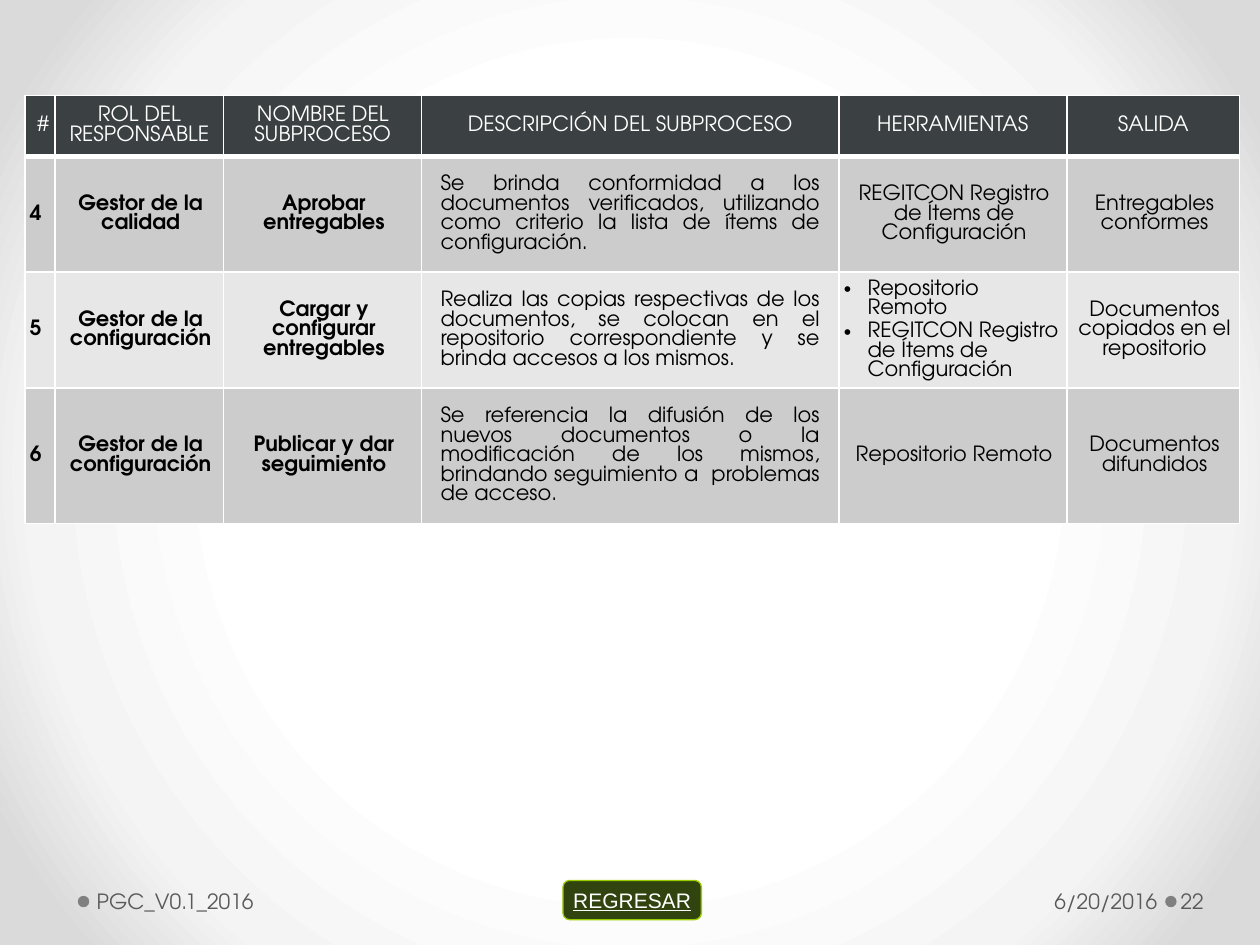
from lxml import etree
from pptx import Presentation
from pptx.dml.color import RGBColor
from pptx.enum.shapes import MSO_SHAPE
from pptx.enum.text import MSO_ANCHOR, PP_ALIGN
from pptx.oxml import parse_xml
from pptx.oxml.ns import qn
from pptx.util import Cm, Pt

LEFT, CENTER, RIGHT, JUSTIFY = PP_ALIGN.LEFT, PP_ALIGN.CENTER, PP_ALIGN.RIGHT, PP_ALIGN.JUSTIFY
MIDDLE = MSO_ANCHOR.MIDDLE
OVAL, BUTTON = MSO_SHAPE.OVAL, MSO_SHAPE.FLOWCHART_ALTERNATE_PROCESS
FONT = "TeX Gyre Adventor"
WHITE, BLACK, GRAY = "FFFFFF", "000000", "595959"
HEADER_FILL, ROW_FILLS = "3B4042", ("CCCCCC", "E7E7E7")
A_NS = "http://schemas.openxmlformats.org/drawingml/2006/main"

COLUMN_WIDTHS = (0.61, 3.4, 3.99, 8.41, 4.6, 3.48)
HEADER_HEIGHT, ROW_HEIGHT = 1.22, 1.7
BODY_ALIGNS = (LEFT, CENTER, CENTER, JUSTIFY, CENTER, CENTER)
BOLD_COLUMNS, DESCRIPTION_COLUMN = 3, 3
BODY_MARGINS = (0.1, 0.13, 0.05, 0.13)
DESCRIPTION_MARGINS = (0.38,) * 4

HEADERS = ("#", "ROL DEL RESPONSABLE", "NOMBRE DEL SUBPROCESO",
           "DESCRIPCIÓN DEL SUBPROCESO", "HERRAMIENTAS", "SALIDA")
# A list in a cell becomes a bulleted list
SUBPROCESSES = (
    ("4", "Gestor de la calidad", "Aprobar entregables",
     "Se brinda conformidad a los documentos verificados, utilizando como criterio "
     "la lista de ítems de configuración.",
     "REGITCON Registro de Ítems de Configuración", "Entregables conformes"),
    ("5", "Gestor de la configuración", "Cargar y configurar entregables",
     "Realiza las copias respectivas de los documentos, se colocan en el repositorio "
     "correspondiente y se brinda accesos a los mismos.",
     ["Repositorio Remoto", "REGITCON Registro de Ítems de Configuración"],
     "Documentos copiados en el repositorio"),
    ("6", "Gestor de la configuración", "Publicar y dar seguimiento",
     "Se referencia la difusión de los nuevos documentos o la modificación de los "
     "mismos, brindando seguimiento a  problemas de acceso.",
     "Repositorio Remoto", "Documentos difundidos"),
)


def rgb(color):
    return RGBColor.from_string(color)


def add_text(paragraph, text, color, align=LEFT, bold=False, font=FONT, underline=False):
    paragraph.alignment = align
    run = paragraph.add_run()
    run.text = text
    run.font.name, run.font.size = font, Pt(12)
    run.font.bold, run.font.underline = bold, underline
    run.font.color.rgb = rgb(color)


def set_margins(target, margins):
    (target.margin_left, target.margin_top,
     target.margin_right, target.margin_bottom) = map(Cm, margins)


def add_bullet(paragraph):
    properties = paragraph._p.get_or_add_pPr()
    properties.set("marL", str(Cm(0.48)))
    properties.set("indent", str(-Cm(0.48)))
    etree.SubElement(properties, qn("a:buFont"), typeface="Arial")
    etree.SubElement(properties, qn("a:buChar"), char="•")


def set_borders(cell, bottom_width):
    properties = cell._tc.get_or_add_tcPr()
    for side, width in (("L", 1), ("R", 1), ("T", 1), ("B", bottom_width)):
        border = etree.SubElement(properties, qn(f"a:ln{side}"), w=str(Pt(width)))
        fill = etree.SubElement(border, qn("a:solidFill"))
        etree.SubElement(fill, qn("a:srgbClr"), val=WHITE)


def style_cell(cell, fill, bottom_width=1):
    set_borders(cell, bottom_width)
    cell.fill.solid()
    cell.fill.fore_color.rgb = rgb(fill)
    cell.vertical_anchor = MIDDLE


def paint_background(slide):
    stops = "".join(f'<a:gs pos="{position}000"><a:srgbClr val="{color}"/></a:gs>'
                    for position, color in ((50, WHITE), (76, "F4F4F4"), (92, "DADADA")))
    gradient = parse_xml(
        f'<a:gradFill xmlns:a="{A_NS}" rotWithShape="1"><a:gsLst>{stops}</a:gsLst>'
        '<a:path path="circle"><a:fillToRect l="50000" t="50000" r="50000" b="50000"/>'
        '</a:path></a:gradFill>')
    fill = slide.background.fill
    fill.solid()
    solid = slide._element.find(".//" + qn("p:bgPr")).find(qn("a:solidFill"))
    solid.getparent().replace(solid, gradient)


def add_subprocess_table(slide, left, top):
    height = HEADER_HEIGHT + ROW_HEIGHT * len(SUBPROCESSES)
    table = slide.shapes.add_table(
        len(SUBPROCESSES) + 1, len(HEADERS), Cm(left), Cm(top),
        Cm(sum(COLUMN_WIDTHS)), Cm(height)).table
    for column, width in zip(table.columns, COLUMN_WIDTHS):
        column.width = Cm(width)
    for index, row in enumerate(table.rows):
        row.height = Cm(ROW_HEIGHT if index else HEADER_HEIGHT)

    # Header row
    for column, title in enumerate(HEADERS):
        cell = table.cell(0, column)
        style_cell(cell, HEADER_FILL, bottom_width=3)
        add_text(cell.text_frame.paragraphs[0], title, WHITE, CENTER)

    # One row for each subprocess
    for index, subprocess in enumerate(SUBPROCESSES):
        for column, content in enumerate(subprocess):
            cell = table.cell(index + 1, column)
            style_cell(cell, ROW_FILLS[index % 2])
            set_margins(cell, DESCRIPTION_MARGINS if column == DESCRIPTION_COLUMN
                        else BODY_MARGINS)
            bulleted = isinstance(content, list)
            for number, text in enumerate(content if bulleted else [content]):
                frame = cell.text_frame
                paragraph = frame.add_paragraph() if number else frame.paragraphs[0]
                paragraph.space_before = Pt(2)
                add_text(paragraph, text, BLACK, LEFT if bulleted else BODY_ALIGNS[column],
                         bold=column < BOLD_COLUMNS)
                if bulleted:
                    add_bullet(paragraph)


def add_footer_text(slide, text, left, top, width, margins, align=LEFT):
    frame = slide.shapes.add_textbox(Cm(left), Cm(top), Cm(width), Cm(1.02)).text_frame
    frame.word_wrap = True
    frame.vertical_anchor = MIDDLE
    set_margins(frame, margins)
    add_text(frame.paragraphs[0], text, GRAY, align)


def add_footer(slide, left, top):
    # Dots before the document name and the page number
    for offset in (0, 21.92):
        dot = slide.shapes.add_shape(OVAL, Cm(left + offset), Cm(top + 0.41),
                                     Cm(0.23), Cm(0.23))
        dot.shadow.inherit = False
        dot.fill.solid()
        dot.fill.fore_color.rgb = rgb("808080")
        dot.line.fill.background()

    # Document name, date and page number
    add_footer_text(slide, "PGC_V0.1_2016", left + 0.25, top, 10.06, (0.13, 0.13, 0.25, 0.13))
    add_footer_text(slide, "6/20/2016", left + 16.1, top, 5.79, (0.25, 0.13, 0.13, 0.13), RIGHT)
    add_footer_text(slide, "22", left + 22.15, top, 1.55, (0.08, 0.13, 0.13, 0.13))

    # Return button
    button = slide.shapes.add_shape(BUTTON, Cm(left + 9.78), Cm(top + 0.1), Cm(2.79), Cm(0.79))
    button.shadow.inherit = False
    button.fill.solid()
    button.fill.fore_color.rgb = rgb("314410")
    button.line.color.rgb = rgb("99CC00")
    button.line.width = Pt(0.75)
    button.text_frame.word_wrap = False
    button.text_frame.vertical_anchor = MIDDLE
    add_text(button.text_frame.paragraphs[0], "REGRESAR", WHITE, CENTER,
             font="Arial", underline=True)


def main():
    presentation = Presentation()
    presentation.slide_width, presentation.slide_height = Cm(25.4), Cm(19.05)
    slide = presentation.slides.add_slide(presentation.slide_layouts[6])
    paint_background(slide)
    add_subprocess_table(slide, left=0.5, top=1.93)
    add_footer(slide, left=1.57, top=17.65)
    presentation.save("out.pptx")


if __name__ == "__main__":
    main()
